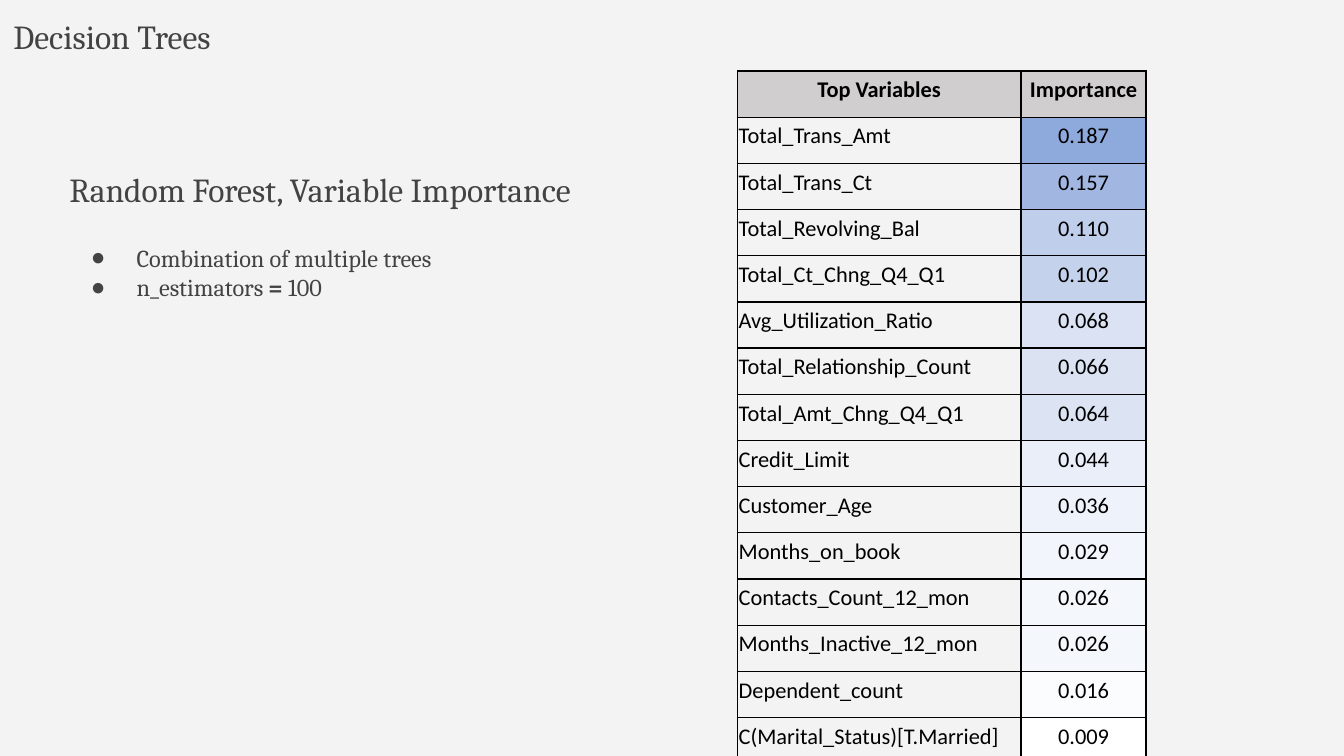
from dataclasses import dataclass

from lxml.etree import SubElement
from pptx import Presentation
from pptx.dml.color import RGBColor
from pptx.enum.text import MSO_ANCHOR, MSO_AUTO_SIZE, PP_ALIGN
from pptx.oxml.ns import qn
from pptx.util import Pt

COLORS = {
    "background": "F3F3F3",
    "text": "434343",
    "table_text": "000000",
    "border": "000000",
    "header": "D0CECE",
    "scale_low": "FFFFFF",
    "scale_high": "8EA9DB",
}


@dataclass
class Box:
    left: float
    top: float
    width: float
    height: float


@dataclass
class Variable:
    name: str
    importance: float


VARIABLES = [
    Variable("Total_Trans_Amt", 0.187),
    Variable("Total_Trans_Ct", 0.157),
    Variable("Total_Revolving_Bal", 0.110),
    Variable("Total_Ct_Chng_Q4_Q1", 0.102),
    Variable("Avg_Utilization_Ratio", 0.068),
    Variable("Total_Relationship_Count", 0.066),
    Variable("Total_Amt_Chng_Q4_Q1", 0.064),
    Variable("Credit_Limit", 0.044),
    Variable("Customer_Age", 0.036),
    Variable("Months_on_book", 0.029),
    Variable("Contacts_Count_12_mon", 0.026),
    Variable("Months_Inactive_12_mon", 0.026),
    Variable("Dependent_count", 0.016),
    Variable("C(Marital_Status)[T.Married]", 0.009),
]


def add_text(p, text: str, *, size: float, font: str = "Cambria",
             color: str = COLORS["text"], bold: bool = False) -> None:
    r = p.add_run()
    r.text = text
    r.font.size = Pt(size)
    r.font.name = font
    r.font.bold = bold
    r.font.color.rgb = RGBColor.from_string(color)


def place(sp, box: Box, anchor: MSO_ANCHOR):
    sp.left, sp.top = Pt(box.left), Pt(box.top)
    sp.width, sp.height = Pt(box.width), Pt(box.height)
    tf = sp.text_frame
    tf.word_wrap = True
    tf.auto_size = MSO_AUTO_SIZE.NONE
    tf.vertical_anchor = anchor
    tf.margin_left = tf.margin_right = Pt(7.2)
    tf.margin_top = tf.margin_bottom = Pt(7.2)
    return tf


def add_heading(sp, text: str, box: Box) -> None:
    p = place(sp, box, MSO_ANCHOR.MIDDLE).paragraphs[0]
    p.alignment = PP_ALIGN.LEFT
    p.space_before = Pt(0)
    add_text(p, text, size=18)


def add_bullet(p) -> None:
    pPr = p._p.get_or_add_pPr()
    pPr.set("marL", str(Pt(36)))
    pPr.set("indent", str(Pt(-24.5)))
    clr = SubElement(pPr, qn("a:buClr"))
    SubElement(clr, qn("a:srgbClr"), val=COLORS["text"])
    SubElement(pPr, qn("a:buChar"), char="●")
    p.space_before = Pt(0)


def add_bullets(sp, items: list, box: Box) -> None:
    tf = place(sp, box, MSO_ANCHOR.TOP)
    for i, runs in enumerate(items):
        p = tf.add_paragraph() if i else tf.paragraphs[0]
        add_bullet(p)
        for text in runs:
            add_text(p, text, size=13, bold=text == "=")


def scale_color(value: float) -> str:
    values = [v.importance for v in VARIABLES]
    t = (value - min(values)) / (max(values) - min(values))
    low = RGBColor.from_string(COLORS["scale_low"])
    high = RGBColor.from_string(COLORS["scale_high"])
    return "".join(f"{round(a + (b - a) * t):02X}" for a, b in zip(low, high))


def set_borders(cell) -> None:
    tcPr = cell._tc.get_or_add_tcPr()
    for side in ("lnL", "lnR", "lnT", "lnB"):
        ln = SubElement(tcPr, qn(f"a:{side}"), w=str(Pt(0.75)))
        fill = SubElement(ln, qn("a:solidFill"))
        SubElement(fill, qn("a:srgbClr"), val=COLORS["border"])


def fill_cell(cell, text: str, *, fill: str = "", bold: bool = False,
              centered: bool = True) -> None:
    set_borders(cell)
    if fill:
        cell.fill.solid()
        cell.fill.fore_color.rgb = RGBColor.from_string(fill)
    else:
        cell.fill.background()
    cell.vertical_anchor = MSO_ANCHOR.BOTTOM
    cell.margin_left = cell.margin_right = cell.margin_top = Pt(0.72)
    cell.margin_bottom = Pt(7.2)
    p = cell.text_frame.paragraphs[0]
    if centered:
        p.alignment = PP_ALIGN.CENTER
        p.line_spacing = 1.15
    add_text(p, text, size=12, font="Calibri",
             color=COLORS["table_text"], bold=bold)


def add_importance_table(s, box: Box) -> None:
    rows = len(VARIABLES) + 1
    table = s.shapes.add_table(rows, 2, Pt(box.left), Pt(box.top),
                               Pt(box.width), Pt(box.height)).table
    table.first_row = table.horz_banding = False
    for column, width in zip(table.columns, (152, 67)):
        column.width = Pt(width)
    for row in table.rows:
        row.height = Pt(box.height / rows)
    for i, header in enumerate(("Top Variables", "Importance")):
        fill_cell(table.cell(0, i), header, fill=COLORS["header"], bold=True)
    for i, v in enumerate(VARIABLES, 1):
        fill_cell(table.cell(i, 0), v.name, centered=False)
        fill_cell(table.cell(i, 1), f"{v.importance:.3f}",
                  fill=scale_color(v.importance))


def main() -> None:
    prs = Presentation()
    prs.slide_width, prs.slide_height = Pt(720), Pt(405)
    s = prs.slides.add_slide(prs.slide_layouts.get_by_name("Comparison"))
    s.background.fill.solid()
    s.background.fill.fore_color.rgb = RGBColor.from_string(COLORS["background"])

    title, subtitle, body, *unused = s.placeholders
    for sp in unused:
        sp.element.getparent().remove(sp.element)
    add_heading(title, "Decision Trees", Box(0, 0, 209, 39))
    add_heading(subtitle, "Random Forest, Variable Importance",
                Box(30, 83, 502, 37))
    add_bullets(body, [["Combination of multiple trees"],
                       ["n_estimators ", "=", " 100"]],
                Box(30, 123, 297, 74))
    add_importance_table(s, Box(395, 38, 219, 236.25))
    prs.save("out.pptx")


if __name__ == "__main__":
    main()
